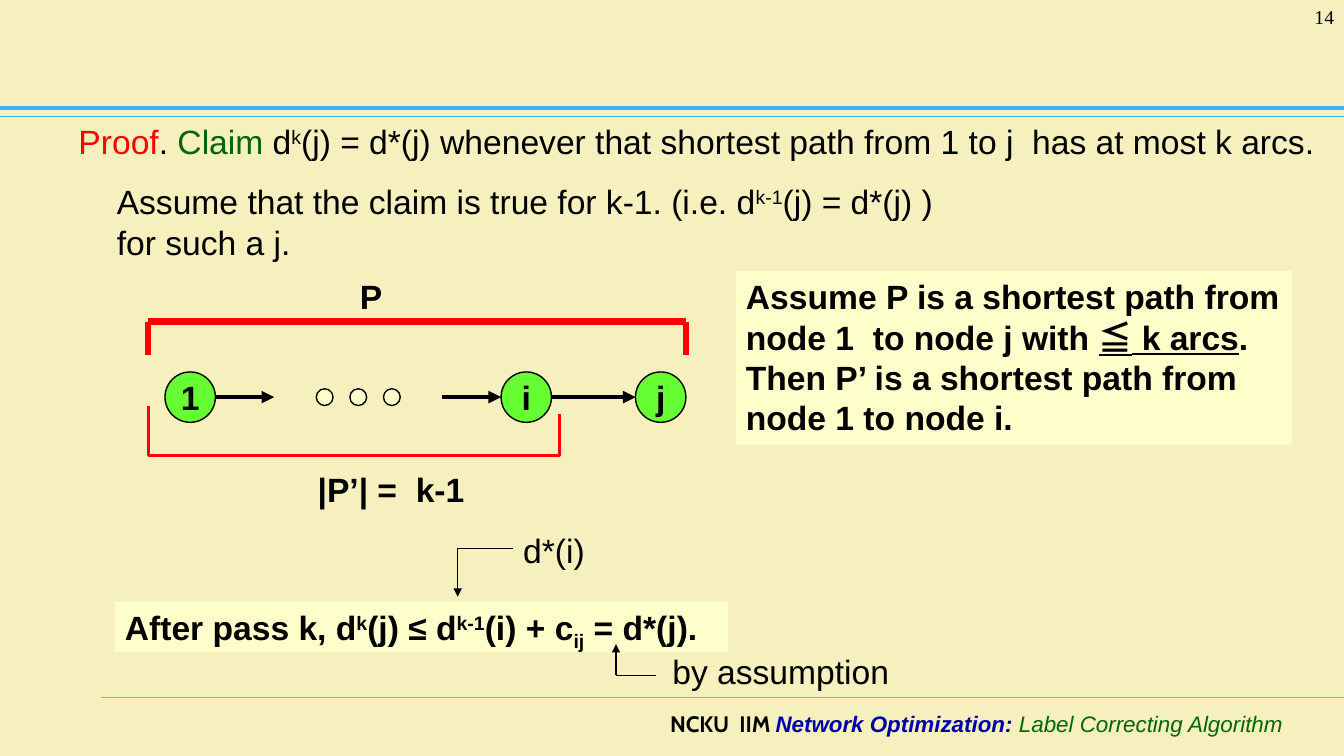
import pptx
import pptx.util
import pptx.dml.color
import pptx.enum.shapes
import pptx.enum.text
import pptx.oxml.ns
from lxml import etree

Inches, Pt = pptx.util.Inches, pptx.util.Pt
RGBColor = pptx.dml.color.RGBColor
SHAPES = pptx.enum.shapes.MSO_SHAPE
ALIGN = pptx.enum.text.PP_ALIGN

BLACK = RGBColor(0x00, 0x00, 0x00)
RED = RGBColor(0xFF, 0x00, 0x00)
GREEN = RGBColor(0x00, 0x66, 0x00)
NAVY = RGBColor(0x00, 0x00, 0xA8)
SKY = RGBColor(0x3D, 0xB0, 0xFF)
CYAN = RGBColor(0x33, 0xCC, 0xFF)
LIME = RGBColor(0x66, 0xFF, 0x33)
CREAM = RGBColor(0xFF, 0xFF, 0xCC)
SAND = RGBColor(0xF5, 0xF0, 0xBD)

WIDTH, HEIGHT = 13.33, 7.5
CELL = 1 / 6  # grid step of the path diagram
COLUMNS = [1.47 + CELL * half / 2 for half in range(66)]  # every half column
ROWS = [2.69 + CELL * half / 2 for half in range(26)]  # every half row

deck = pptx.Presentation()
deck.slide_width, deck.slide_height = Inches(WIDTH), Inches(HEIGHT)
page = deck.slides.add_slide(deck.slide_layouts[6])
page.background.fill.solid()
page.background.fill.fore_color.rgb = SAND


def add_line(start, end, color, weight, arrow=False):
    line = page.shapes.add_connector(pptx.enum.shapes.MSO_CONNECTOR.STRAIGHT,
                                     *map(Inches, start + end))
    line.line.color.rgb = color
    line.line.width = Pt(weight)
    if arrow:
        tail = etree.SubElement(line.line._get_or_add_ln(), pptx.oxml.ns.qn("a:tailEnd"))
        tail.set("type", "triangle")
    etree.SubElement(line._element.spPr, pptx.oxml.ns.qn("a:effectLst"))


def write(para, spans, size=24, name="Arial", bold=False, align=ALIGN.LEFT):
    """Fill a paragraph; a span is text with optional settings, "\n" is a line break."""
    para.alignment = align
    para.font.size, para.font.name, para.font.bold = Pt(size), name, bold
    para.font.color.rgb = BLACK
    for text, style in spans:
        if text == "\n":
            para.add_line_break()
            continue
        span = para.add_run()
        span.text = text
        for key, value in style.items():
            if key == "color":
                span.font.color.rgb = value
            elif key == "baseline":
                span.font._element.set("baseline", str(value * 1000))
            else:
                setattr(span.font, key, value)
        if "name" in style:
            east = etree.SubElement(span.font._element, pptx.oxml.ns.qn("a:ea"))
            east.set("typeface", style["name"])


SUPER, SUB = {"baseline": 30}, {"baseline": -25}

# Header and footer rules
add_line((WIDTH * 0.075, 6.92), (WIDTH, 6.92), CYAN, 0.75)
for y, weight in ((1.16, 0.75), (1.07, 2.5)):
    add_line((0, y), (WIDTH, y), SKY, weight)

# Claim and induction hypothesis
box = page.shapes.add_textbox(Inches(0.68), Inches(1.15), Inches(12.52), Inches(2.08))
box.text_frame.word_wrap = True
claim = box.text_frame.paragraphs[0]
claim.space_after = Pt(14.4)
write(claim, [("Proof", {"color": RED}), (". ", {}), ("Claim", {"color": GREEN}), (" d", {}),
              ("k", SUPER),
              ("(j) = d*(j) whenever that shortest path from 1 to j  has at most k arcs.", {})])
hypothesis = box.text_frame.add_paragraph()
hypothesis._p.get_or_add_pPr().set("marL", str(Inches(0.38)))
write(hypothesis, [("Assume that the claim is true for k-1. (i.e. d", {}), ("k-1", SUPER),
                   ("(j) = d*(j) )", {}), ("\n", {}), ("for such a j.", {})])

# Nodes of the path, with dots for the ones left out
circles = [("1", 2, 12, 3, LIME), ("i", 42, 12, 3, LIME), ("j", 58, 12, 3, LIME)]
circles += [("", column, 14, 1, CREAM) for column in (20, 24, 28)]
for label, column, row, cells, color in circles:
    node = page.shapes.add_shape(SHAPES.OVAL, Inches(COLUMNS[column]), Inches(ROWS[row]),
                                 Inches(cells * CELL), Inches(cells * CELL))
    node.shadow.inherit = False
    node.fill.solid()
    node.fill.fore_color.rgb = color
    node.line.color.rgb = BLACK
    node.line.width = Pt(1)
    if label:
        node.text_frame.word_wrap = False
        node.text_frame.vertical_anchor = pptx.enum.text.MSO_ANCHOR.MIDDLE
        write(node.text_frame.paragraphs[0], [(label, {})], bold=True, align=ALIGN.CENTER)

# Arcs
for start, end in ((8, 15), (35, 42), (48, 58)):
    add_line((COLUMNS[start], ROWS[15]), (COLUMNS[end], ROWS[15]), BLACK, 3, arrow=True)

# Bracket over P
corners = [(COLUMNS[column], ROWS[row]) for column, row in ((0, 10), (0, 6), (64, 6), (64, 10))]
for start, end in zip(corners, corners[1:]):
    add_line(start, end, RED, 4.5)

# Bracket under P’
corners = [(Inches(COLUMNS[column]), Inches(ROWS[row]))
           for column, row in ((0, 16), (0, 22), (49, 22), (49, 17))]
outline = page.shapes.build_freeform(*corners[0])
outline.add_line_segments(corners[1:], close=False)
bracket = outline.convert_to_shape()
bracket.shadow.inherit = False
bracket.fill.background()
bracket.line.color.rgb = RED
bracket.line.width = Pt(2.25)

# Highlighted statements
statements = [
    (1.14, 5.97, 6.08, 0.5,
     [("After pass k, d", {}), ("k", SUPER), ("(j) ≤ d", {}), ("k-1", SUPER),
      ("(i) + c", {}), ("ij", SUB), (" = d*(j).", {})]),
    (7.3, ROWS[0], 5.51, 1.72,
     [("Assume P is a shortest path from node 1  to node j with ", {}),
      ("≦", {"name": "Noto Sans CJK TC", "underline": True}),
      (" k arcs", {"underline": True}), (".", {}), ("\n", {}),
      ("Then P’ is a shortest path from node 1 to node i.", {})]),
]
for left, top, width, height, spans in statements:
    panel = page.shapes.add_shape(SHAPES.RECTANGLE, *map(Inches, (left, top, width, height)))
    panel.shadow.inherit = False
    panel.fill.solid()
    panel.fill.fore_color.rgb = CREAM
    panel.line.fill.background()
    panel.text_frame.word_wrap = True
    panel.text_frame.vertical_anchor = pptx.enum.text.MSO_ANCHOR.TOP
    write(panel.text_frame.paragraphs[0], spans, bold=True)

# Bent arrows from the notes to the inequality
for elbow, start, tip in (((4.54, 5.44), 5.09, 5.92), ((6.11, 6.7), 6.51, 6.39)):
    add_line((start, elbow[1]), elbow, BLACK, 1)
    add_line(elbow, (elbow[0], tip), BLACK, 1, arrow=True)

# Labels, page number and footer
footer = [("NCKU  IIM ", {"name": "Cabin", "bold": True}),
          ("Network Optimization: ", {"color": NAVY, "bold": True, "italic": True}),
          ("Label Correcting Algorithm", {"color": GREEN, "italic": True})]
labels = [
    (COLUMNS[24], ROWS[0], 0.75, [("P", {})], {"bold": True}),
    (COLUMNS[19], ROWS[23], 2, [("|P’| =  k-1", {})], {"bold": True}),
    (5.09, 5.21, 0.81, [("d*(i)", {})], {}),
    (6.57, 6.41, 2.35, [("by assumption", {})], {}),
    (12.22, 0, 1.11, [("14", {})], {"size": 14, "name": "Times New Roman", "align": ALIGN.RIGHT}),
    (2.44, 7, 10.38, footer, {"size": 16, "align": ALIGN.RIGHT}),
]
for left, top, width, spans, style in labels:
    box = page.shapes.add_textbox(*map(Inches, (left, top, width, 0.5)))
    box.text_frame.word_wrap = True
    write(box.text_frame.paragraphs[0], spans, **style)

deck.save("out.pptx")
